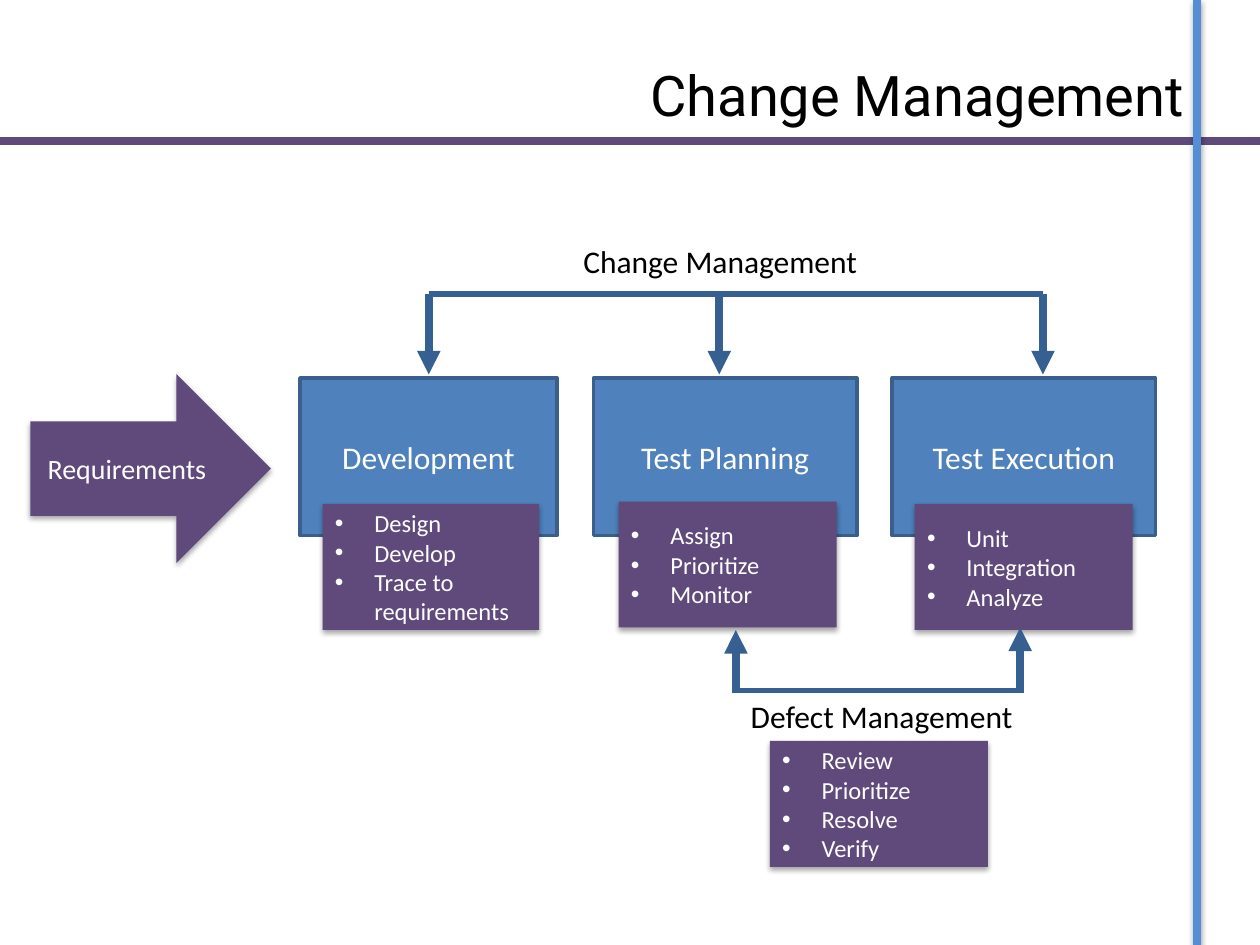
from dataclasses import dataclass

from lxml import etree
from pptx import Presentation
from pptx.dml.color import RGBColor
from pptx.enum.shapes import MSO_CONNECTOR as Connector, MSO_SHAPE as Shape
from pptx.enum.text import MSO_ANCHOR as Anchor, PP_ALIGN as Align
from pptx.oxml.ns import qn
from pptx.util import Pt

PURPLE, BLUE, BLUE_EDGE = "604A7B", "4F81BD", "3A5F8C"
ARROW_BLUE, RULE_BLUE = "376092", "558ED5"
WHITE, BLACK = "FFFFFF", "000000"
INDENT = 22.5


@dataclass(frozen=True)
class Frame:
    left: float
    top: float
    width: float
    height: float


@dataclass(frozen=True)
class Stage:
    name: str
    box: Frame
    tasks: tuple[str, ...]
    card: Frame


@dataclass(frozen=True)
class Line:
    start: tuple[float, float]
    end: tuple[float, float]
    color: str = ARROW_BLUE
    width: float = 4.5
    arrow: bool = False
    shadow: bool = False


STAGES = (
    Stage("Development", Frame(171.4, 216, 146.9, 90),
          ("Design", "Develop", "Trace to requirements"), Frame(184.3, 288, 123.8, 72)),
    Stage("Test Planning", Frame(339.1, 216, 150.5, 90),
          ("Assign", "Prioritize", "Monitor"), Frame(353.5, 286.6, 124.6, 72)),
    Stage("Test Execution", Frame(509.8, 216, 150.5, 90),
          ("Unit", "Integration", "Analyze"), Frame(522.7, 288, 124.6, 72)),
)
DEFECT_TASKS = ("Review", "Prioritize", "Resolve", "Verify")

RULES = (
    Line((0, 80.6), (720, 80.6), PURPLE),
    Line((684, 0), (684, 540), RULE_BLUE, shadow=True),
)
CHANGE_TOP, DEFECT_BASE = 168, 394.6
FLOWS = (
    *(Line((x, CHANGE_TOP), (x, 214), arrow=True) for x in (245, 411, 596)),
    Line((245, CHANGE_TOP), (596, CHANGE_TOP), width=3),
    Line((420.5, 396), (420.5, 360), arrow=True),
    Line((583, DEFECT_BASE), (583, 358.6), arrow=True),
    Line((419, DEFECT_BASE), (585, DEFECT_BASE), width=3),
)


def rgb(color: str) -> RGBColor:
    return RGBColor.from_string(color)


def place(frame: Frame) -> tuple:
    return Pt(frame.left), Pt(frame.top), Pt(frame.width), Pt(frame.height)


def add_shadow(effects, distance: float, opacity: int) -> None:
    outer = etree.SubElement(effects, qn("a:outerShdw"), blurRad=str(Pt(3.1)),
                             dist=str(Pt(distance)), dir="5400000", rotWithShape="0")
    tint = etree.SubElement(outer, qn("a:srgbClr"), val=BLACK)
    etree.SubElement(tint, qn("a:alpha"), val=str(opacity * 1000))


def write(box, *lines: str, size: float, color: str = WHITE, font: str = "Calibri",
          align=Align.LEFT, anchor=Anchor.MIDDLE, bullets: bool = False) -> None:
    frame = box.text_frame
    frame.word_wrap = True
    frame.vertical_anchor = anchor
    for index, text in enumerate(lines):
        para = frame.paragraphs[0] if index == 0 else frame.add_paragraph()
        para.alignment = align
        span = para.add_run()
        span.text = text
        span.font.size, span.font.name = Pt(size), font
        span.font.color.rgb = rgb(color)
        if bullets:
            props = para._p.get_or_add_pPr()
            props.set("marL", str(Pt(INDENT)))
            props.set("indent", str(-Pt(INDENT)))
            etree.SubElement(props, qn("a:buFont"), typeface="Arial")
            etree.SubElement(props, qn("a:buChar"), char="•")


def add_block(page, kind, frame: Frame, fill: str, edge: str | None = None):
    """Add a filled shape: outlined if an edge is given, otherwise shadowed."""
    box = page.shapes.add_shape(kind, *place(frame))
    box.fill.solid()
    box.fill.fore_color.rgb = rgb(fill)
    box.shadow.inherit = False
    if edge:
        box.line.color.rgb = rgb(edge)
        box.line.width = Pt(2)
    else:
        box.line.fill.background()
        add_shadow(box._element.spPr.find(qn("a:effectLst")), 1.8, 35)
    return box


def add_card(page, frame: Frame, tasks: tuple[str, ...]) -> None:
    card = add_block(page, Shape.RECTANGLE, frame, PURPLE)
    write(card, *tasks, size=14, bullets=True)


def add_line(page, line: Line) -> None:
    points = [Pt(value) for value in (*line.start, *line.end)]
    connector = page.shapes.add_connector(Connector.STRAIGHT, *points)
    connector.line.color.rgb = rgb(line.color)
    connector.line.width = Pt(line.width)
    if line.arrow:
        etree.SubElement(connector.line._get_or_add_ln(), qn("a:tailEnd"), type="triangle")
    effects = etree.SubElement(connector._element.spPr, qn("a:effectLst"))
    if line.shadow:
        add_shadow(effects, 1.6, 38)


def add_label(page, frame: Frame, text: str, **style) -> None:
    write(page.shapes.add_textbox(*place(frame)), text, color=BLACK, **style)


def main() -> None:
    deck = Presentation()
    deck.slide_width, deck.slide_height = Pt(720), Pt(540)
    page = deck.slides.add_slide(deck.slide_layouts[6])

    # Page rules and title
    for rule in RULES:
        add_line(page, rule)
    add_label(page, Frame(10.8, 8.6, 673.2, 90), "Change Management",
              size=32, font="Roboto", align=Align.RIGHT)

    # Requirements lead into the stages
    arrow = add_block(page, Shape.RIGHT_ARROW, Frame(17.3, 213.8, 137.5, 108), PURPLE)
    write(arrow, "Requirements", size=16, align=Align.CENTER)
    for stage in STAGES:
        box = add_block(page, Shape.RECTANGLE, stage.box, BLUE, BLUE_EDGE)
        write(box, stage.name, size=18, align=Align.CENTER)
        add_card(page, stage.card, stage.tasks)
    add_card(page, Frame(439.9, 423.4, 124.6, 72), DEFECT_TASKS)

    # Change and defect loops
    for flow in FLOWS:
        add_line(page, flow)
    add_label(page, Frame(326.2, 134.6, 185.8, 29), "Change Management",
              size=18, anchor=Anchor.TOP)
    add_label(page, Frame(421.9, DEFECT_BASE, 185.8, 29), "Defect Management",
              size=18, anchor=Anchor.TOP)

    deck.save("out.pptx")


if __name__ == "__main__":
    main()
